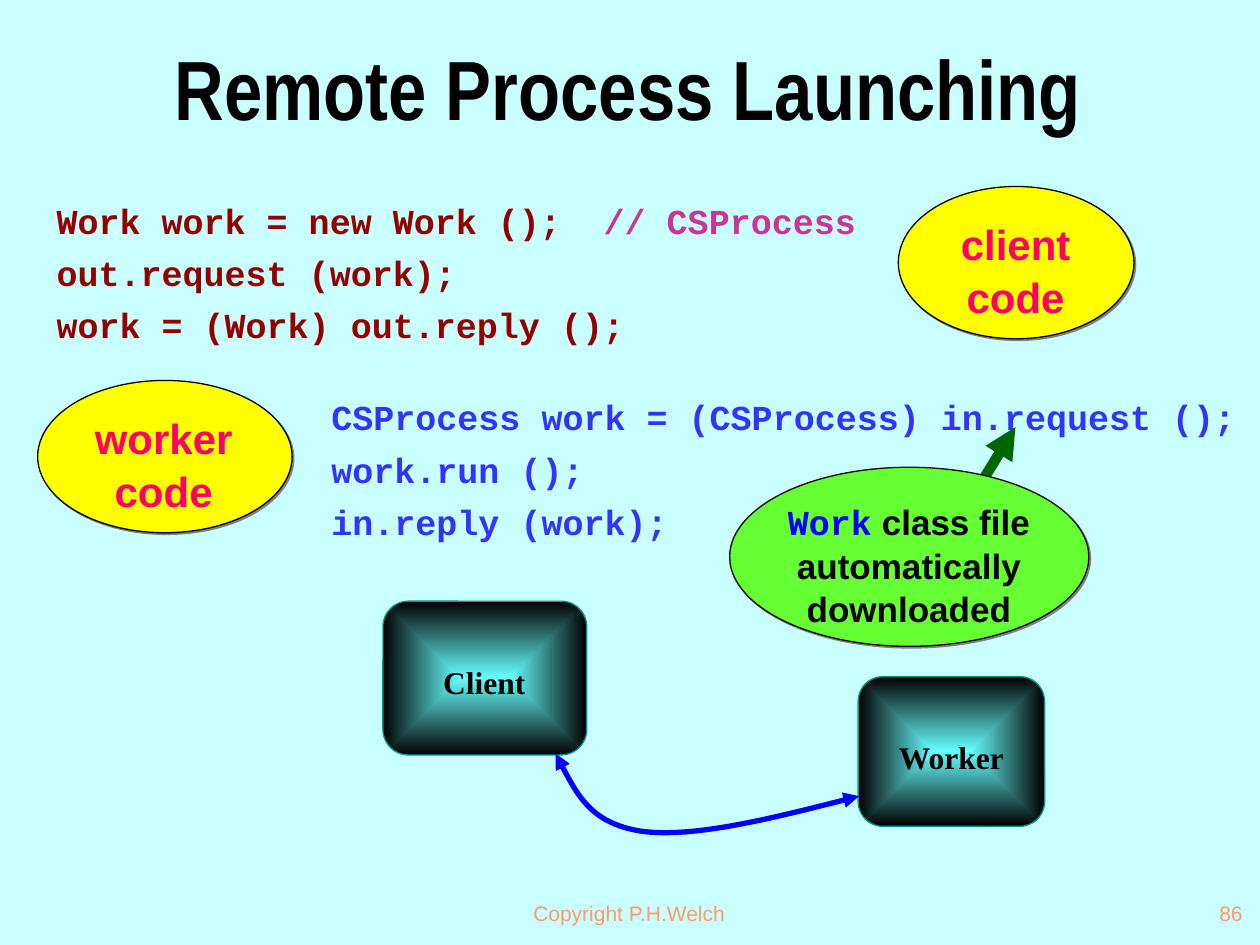
from lxml import etree
from pptx import Presentation
from pptx.dml.color import RGBColor
from pptx.enum.shapes import MSO_CONNECTOR, MSO_SHAPE
from pptx.enum.text import MSO_ANCHOR, MSO_AUTO_SIZE, PP_ALIGN
from pptx.oxml import parse_xml
from pptx.oxml.ns import nsdecls, qn
from pptx.util import Cm, Pt

LEFT, CENTER, RIGHT = PP_ALIGN.LEFT, PP_ALIGN.CENTER, PP_ALIGN.RIGHT
TOP, MIDDLE = MSO_ANCHOR.TOP, MSO_ANCHOR.MIDDLE
ELLIPSE, ROUNDED = MSO_SHAPE.OVAL, MSO_SHAPE.ROUNDED_RECTANGLE

COLORS = {
    "background": "C9FFFF", "ink": "010000", "shadow": "808080",
    "client_code": "940000", "comment": "CC3399", "worker_code": "3333FF",
    "role": "FF0066", "role_fill": "FFFF00", "class_name": "0000FF",
    "note_fill": "66FF33", "note_arrow": "006600", "link": "0000FF",
    "node_glow": "66FFFF", "node_edge": "009999", "footer": "FF9966",
}

TITLE = {"name": "Arial Narrow", "size": Pt(48), "bold": True}
CODE = {"name": "Courier New", "size": Pt(20), "bold": True}
ROLE = {"name": "Arial", "size": Pt(24), "bold": True}
NOTE = {"name": "Arial", "size": Pt(20), "bold": True}
NODE = {"name": "Times New Roman", "size": Pt(18), "bold": True}
FOOTER = {"name": "Arial", "size": Pt(12), "bold": False}


def rgb(key):
    return RGBColor.from_string(COLORS[key])


def set_all(target, values):
    for attribute, value in values.items():
        setattr(target, attribute, value)


def place(item, box):
    set_all(item, dict(zip(("left", "top", "width", "height"), map(Cm, box))))


def drop_shadow():
    return parse_xml(
        f'<a:outerShdw {nsdecls("a")} dist="17780" dir="2700000" algn="ctr" rotWithShape="0">'
        f'<a:srgbClr val="{COLORS["shadow"]}"/></a:outerShdw>')


def add_run(paragraph, text, style, color):
    run = paragraph.add_run()
    run.text = text
    set_all(run.font, style)
    run.font.color.rgb = rgb(color)
    return run


def add_text(slide, box, lines, align=CENTER, anchor=TOP, inset=0.13,
             spacing=1.04, gap=0):
    """Each line is a list of (text, style, color) runs."""
    frame = slide.shapes.add_textbox(*map(Cm, box)).text_frame
    set_all(frame, {"word_wrap": True, "vertical_anchor": anchor,
                    "margin_top": Cm(inset)})
    for number, runs in enumerate(lines):
        paragraph = frame.add_paragraph() if number else frame.paragraphs[0]
        set_all(paragraph, {"alignment": align, "line_spacing": spacing,
                            "space_before": Pt(gap if number else 0)})
        for run in runs:
            add_run(paragraph, *run)


def add_code(slide, box, lines):
    add_text(slide, box, lines, align=LEFT, inset=0.3, gap=5)


def add_outlined(slide, preset, box, edge):
    shape = slide.shapes.add_shape(preset, *map(Cm, box))
    shape.shadow.inherit = False
    shape.line.color.rgb = rgb(edge)
    shape.line.width = Pt(0.75)
    return shape


def add_bubble(slide, box, fill, label_box, runs):
    bubble = add_outlined(slide, ELLIPSE, box, "ink")
    bubble.fill.solid()
    bubble.fill.fore_color.rgb = rgb(fill)
    bubble._element.spPr.find(qn("a:effectLst")).append(drop_shadow())
    add_text(slide, label_box, [runs], inset=0.23)


def add_node(slide, box, label_box, label):
    node = add_outlined(slide, ROUNDED, box, "node_edge")
    node.fill.gradient()
    for stop, color in zip(node.fill.gradient_stops, ("node_glow", "ink")):
        stop.color.rgb = rgb(color)
    # Rectangular gradient spreading from the middle
    gradient = node._element.spPr.find(qn("a:gradFill"))
    gradient.remove(gradient.find(qn("a:lin")))
    spread = etree.SubElement(gradient, qn("a:path"), path="rect")
    etree.SubElement(spread, qn("a:fillToRect"),
                     dict.fromkeys("ltrb", "50000"))
    add_text(slide, label_box, [[(label, NODE, "ink")]], inset=0.18)


def style_line(item, color, width, ends):
    item.line.color.rgb = rgb(color)
    item.line.width = Pt(width)
    for end in ends:
        etree.SubElement(item.line._get_or_add_ln(), qn(f"a:{end}"), type="triangle")


def add_arrow(slide, start, finish, color, width):
    arrow = slide.shapes.add_connector(MSO_CONNECTOR.STRAIGHT,
                                       *map(Cm, start + finish))
    style_line(arrow, color, width, ["tailEnd"])
    etree.SubElement(arrow._element.spPr, qn("a:effectLst"))


def add_curve(slide, points, color, width):
    """Start point followed by three Bezier points per segment."""
    start, *controls = [(Cm(x), Cm(y)) for x, y in points]
    builder = slide.shapes.build_freeform(*start)
    builder.add_line_segments(controls, close=False)
    curve = builder.convert_to_shape()
    curve.shadow.inherit = False
    curve.fill.background()
    style_line(curve, color, width, ["headEnd", "tailEnd"])
    # Turn every three straight steps into one Bezier segment
    steps = list(curve._element.iter(qn("a:lnTo")))
    outline = steps[0].getparent()
    for first in range(0, len(steps), 3):
        segment = etree.SubElement(outline, qn("a:cubicBezTo"))
        for step in steps[first:first + 3]:
            segment.append(step[0])
            outline.remove(step)


def add_title(slide, text):
    title = slide.shapes.title
    place(title, (0.61, 0.79, 24.1, 2.44))
    set_all(title.text_frame, {"word_wrap": True, "vertical_anchor": MIDDLE,
                               "auto_size": MSO_AUTO_SIZE.NONE})
    paragraph = title.text_frame.paragraphs[0]
    set_all(paragraph, {"alignment": CENTER, "line_spacing": 0.7})
    run = add_run(paragraph, text, TITLE, "ink")
    effects = etree.Element(qn("a:effectLst"))
    effects.append(drop_shadow())
    run.font._element.find(qn("a:solidFill")).addnext(effects)


def main():
    deck = Presentation()
    set_all(deck, {"slide_width": Cm(25.4), "slide_height": Cm(19.05)})
    slide = deck.slides.add_slide(deck.slide_layouts[5])
    slide.background.fill.solid()
    slide.background.fill.fore_color.rgb = rgb("background")
    add_title(slide, "Remote Process Launching")

    # Linked processes
    add_node(slide, (17.3, 13.64, 3.76, 3.02), (17.35, 14.66, 3.66, 1.02), "Worker")
    add_node(slide, (7.72, 12.12, 4.11, 3.1), (7.77, 13.16, 3.99, 1.02), "Client")
    add_curve(slide, [(11.2, 15.19), (11.56, 15.9), (11.94, 16.61), (12.95, 16.76),
                      (13.97, 16.89), (15.65, 16.48), (17.32, 16.05)], "link", 3)

    # Client side
    add_code(slide, (0.89, 3.68, 17.55, 3.96), [
        [("Work work = new Work ();  ", CODE, "client_code"),
         ("// CSProcess", CODE, "comment")],
        [("out.request (work);", CODE, "client_code")],
        [("work = (Work) out.reply ();", CODE, "client_code")]])
    add_bubble(slide, (18.11, 3.76, 4.75, 3.07), "role_fill",
               (18.29, 4.14, 4.37, 2.29), [("client code", ROLE, "role")])

    # Worker side
    worker_lines = ("CSProcess work = (CSProcess) in.request ();",
                    "work.run ();", "in.reply (work);")
    add_code(slide, (6.43, 7.65, 18.97, 3.61),
             [[(line, CODE, "worker_code")] for line in worker_lines])
    add_bubble(slide, (0.76, 7.67, 5.13, 3.07), "role_fill",
               (0.94, 8.05, 4.72, 2.29), [("worker code", ROLE, "role")])

    # Download note
    add_arrow(slide, (18.72, 11.46), (20.47, 8.61), "note_arrow", 6)
    add_bubble(slide, (14.71, 9.42, 7.24, 3.61), "note_fill",
               (14.58, 9.83, 7.49, 2.79),
               [("Work", CODE, "class_name"),
                (" class file automatically downloaded", NOTE, "ink")])

    # Footer
    for box, text, align in (((8.66, 17.78, 8.05, 1.27), "Copyright P.H.Welch", CENTER),
                             ((20.02, 17.78, 5.28, 1.27), "86", RIGHT)):
        add_text(slide, box, [[(text, FOOTER, "footer")]], align, MIDDLE, spacing=1)

    deck.save("out.pptx")


if __name__ == "__main__":
    main()
